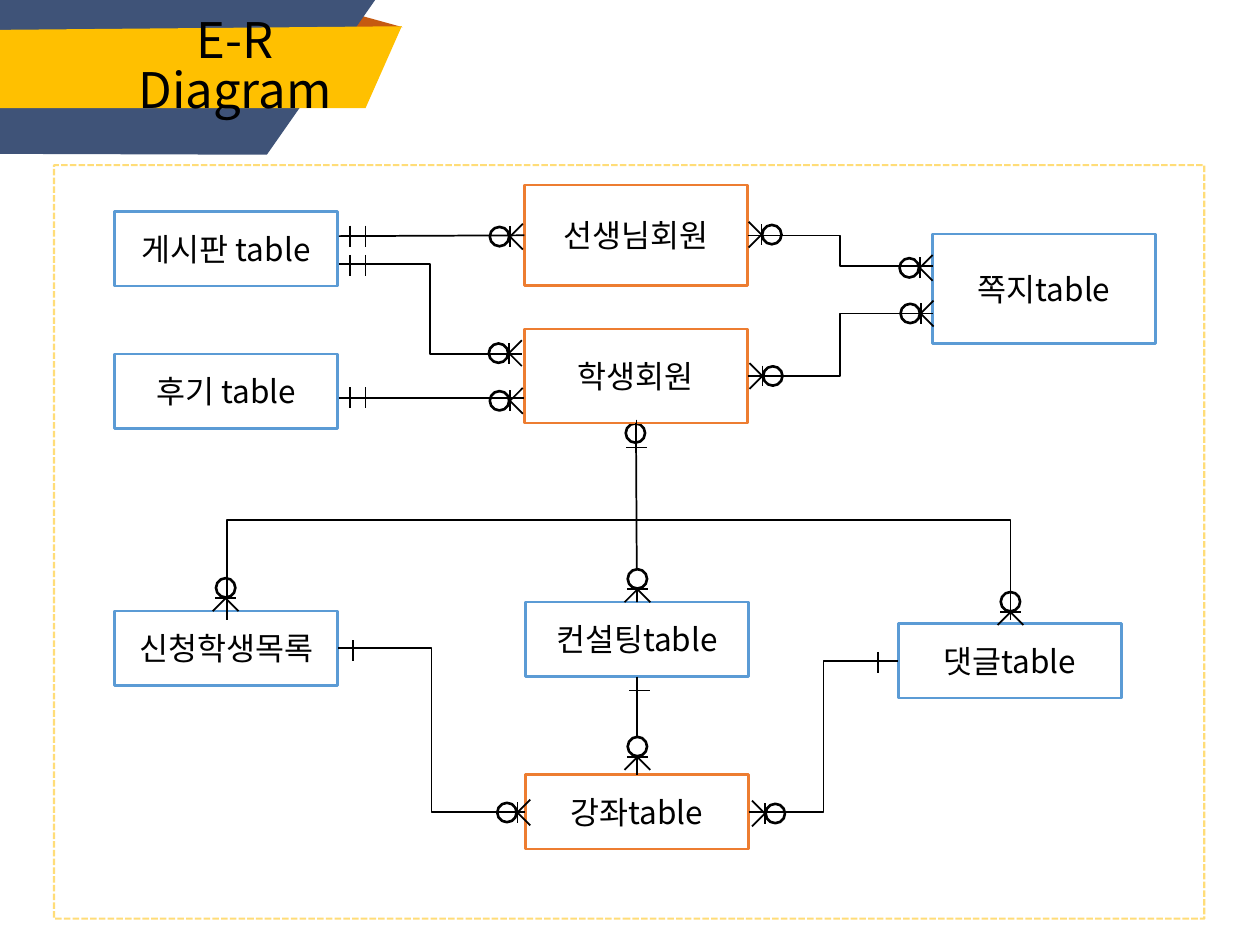
from dataclasses import dataclass

from lxml.etree import SubElement
from pptx import Presentation
from pptx.dml.color import RGBColor
from pptx.enum.dml import MSO_LINE
from pptx.enum.shapes import MSO_CONNECTOR, MSO_SHAPE
from pptx.enum.text import MSO_ANCHOR, MSO_AUTO_SIZE, PP_ALIGN
from pptx.oxml.ns import qn
from pptx.util import Cm, Pt

RECTANGLE, OVAL, RIGHT_TRIANGLE = MSO_SHAPE.RECTANGLE, MSO_SHAPE.OVAL, MSO_SHAPE.RIGHT_TRIANGLE
STRAIGHT, ELBOW = MSO_CONNECTOR.STRAIGHT, MSO_CONNECTOR.ELBOW
MIDDLE, CENTER, NO_AUTOFIT = MSO_ANCHOR.MIDDLE, PP_ALIGN.CENTER, MSO_AUTO_SIZE.NONE
DASHED = MSO_LINE.SQUARE_DOT
TOP, LEFT, BOTTOM, RIGHT = range(4)
WEST, EAST, NORTH = (-1, 0), (1, 0), (0, -1)
TITLE_ONLY = 5


@dataclass(frozen=True)
class Theme:
    font: str = "Noto Sans CJK KR"
    ink: str = "000000"
    paper: str = "FFFFFF"
    navy: str = "3F5378"
    gold: str = "FFC000"
    rust: str = "C55A11"
    member: str = "ED7D31"
    table: str = "5B9BD5"
    title_size: int = 28
    label_size: int = 18
    thin: float = 1
    frame: float = 1.25
    thick: float = 1.5


THEME = Theme()

ENTITIES = {
    "teacher": ("선생님회원", 10.57, 3.73, 2.03, THEME.member),
    "student": ("학생회원", 10.57, 6.63, 1.9, THEME.member),
    "board": ("게시판 table", 2.31, 4.27, 1.5, THEME.table),
    "review": ("후기 table", 2.31, 7.14, 1.5, THEME.table),
    "message": ("쪽지table", 18.8, 4.72, 2.21, THEME.table),
    "course": ("강좌table", 10.59, 15.62, 1.5, THEME.member),
    "applicants": ("신청학생목록", 2.31, 12.32, 1.5, THEME.table),
    "comment": ("댓글table", 18.11, 12.57, 1.5, THEME.table),
    "consulting": ("컨설팅table", 10.59, 12.14, 1.5, THEME.table),
}
ENTITY_WIDTH = 4.5

CROW_FEET = [
    (10.54, 4.77, WEST), (10.52, 7.12, WEST), (10.54, 8.08, WEST),
    (18.8, 5.4, WEST), (18.82, 6.32, WEST), (10.69, 16.38, WEST),
    (15.09, 4.73, EAST), (15.11, 7.58, EAST), (15.16, 16.4, EAST),
    (20.37, 12.6, NORTH), (4.55, 12.32, NORTH),
]
CENTER_CROW_FEET = [(12.85, 12.14, NORTH), (12.85, 15.52, NORTH)]

TICKS = [(x, y, EAST) for y in (4.76, 5.35, 8.02) for x in (7.06, 7.37)] + [
    (7.11, 13.12, EAST), (17.7, 13.35, EAST),
    (12.89, 13.92, NORTH), (12.83, 9.02, NORTH),
]

RELATIONS = [
    (ELBOW, (6.83, 5.33), (10.52, 7.14)),
    (STRAIGHT, (6.83, 4.76), ("teacher", LEFT)),
    (STRAIGHT, (6.83, 8.03), (10.57, 8.03)),
    (ELBOW, ("teacher", RIGHT), (18.8, 5.36)),
    (ELBOW, ("student", RIGHT), (18.8, 6.32)),
    (ELBOW, ("applicants", RIGHT), ("course", LEFT)),
    (ELBOW, ("course", RIGHT), ("comment", LEFT)),
    (STRAIGHT, ("student", BOTTOM), ("consulting", TOP)),
    (STRAIGHT, ("consulting", BOTTOM), ("course", TOP)),
]
BRANCH_START = (12.83, 8.46)
BRANCH_ENDS = [(20.37, 12.5), (4.57, 12.5)]


def color(value):
    return RGBColor.from_string(value)


def style_shape(shape, fill=None, line=None, weight=THEME.thick):
    shape.shadow.inherit = False
    if fill:
        shape.fill.solid()
        shape.fill.fore_color.rgb = color(fill)
    else:
        shape.fill.background()
    if line:
        shape.line.color.rgb = color(line)
        shape.line.width = Pt(weight)
    else:
        shape.line.fill.background()


def write_text(shape, text, size):
    frame = shape.text_frame
    frame.word_wrap = True
    frame.vertical_anchor = MIDDLE
    paragraph = frame.paragraphs[0]
    paragraph.text = text
    paragraph.alignment = CENTER
    font = paragraph.font
    font.size = Pt(size)
    font.color.rgb = color(THEME.ink)
    font.name = THEME.font
    SubElement(font._rPr, qn("a:ea"), typeface=THEME.font)
    return paragraph


def add_box(slide, preset, left, top, width, height, **style):
    shape = slide.shapes.add_shape(preset, Cm(left), Cm(top), Cm(width), Cm(height))
    style_shape(shape, **style)
    return shape


def add_ribbon(slide, points, fill):
    start, *rest = [(Cm(x), Cm(y)) for x, y in points]
    builder = slide.shapes.build_freeform(*start)
    builder.add_line_segments(rest, close=True)
    style_shape(builder.convert_to_shape(), fill=fill)


def add_line(slide, begin, end, kind=STRAIGHT):
    connector = slide.shapes.add_connector(kind, *(Cm(value) for value in (*begin, *end)))
    connector.line.color.rgb = color(THEME.ink)
    connector.line.width = Pt(THEME.thin)
    SubElement(connector._element.spPr, qn("a:effectLst"))
    return connector


def add_relation(slide, boxes, kind, begin, end):
    glued = [point[0] in boxes for point in (begin, end)]
    points = [(0, 0) if joined else point for joined, point in zip(glued, (begin, end))]
    connector = add_line(slide, *points, kind)
    if glued[0]:
        connector.begin_connect(boxes[begin[0]], begin[1])
    if glued[1]:
        connector.end_connect(boxes[end[0]], end[1])


def add_branch(slide, begin, end):
    center_x, center_y = (begin[0] + end[0]) / 2, (begin[1] + end[1]) / 2
    half_x, half_y = (end[0] - begin[0]) / 2, (end[1] - begin[1]) / 2
    connector = add_line(slide, (center_x - half_y, center_y + half_x),
                         (center_x + half_y, center_y - half_x), ELBOW)
    connector._element.spPr.find(qn("a:xfrm")).set("rot", str(90 * 60000))


def add_tick(slide, x, y, direction):
    across_x, across_y = -direction[1] * 0.21, direction[0] * 0.21
    add_line(slide, (x - across_x, y - across_y), (x + across_x, y + across_y))


def add_ring(slide, x, y, diameter=0.39):
    add_box(slide, OVAL, x - diameter / 2, y - diameter / 2, diameter, diameter,
            fill=THEME.paper, line=THEME.ink)


def add_crow_foot(slide, x, y, direction, reach=0.26):
    along_x, along_y = direction
    joint = (x + along_x * reach, y + along_y * reach)
    add_ring(slide, x + along_x * 0.47, y + along_y * 0.47)
    for side in (-reach, reach):
        add_line(slide, joint, (x - along_y * side, y + along_x * side))
    add_tick(slide, *joint, direction)


def add_header(slide):
    add_box(slide, RIGHT_TRIANGLE, 5.91, -0.06, 2.21, 0.61, fill=THEME.rust)
    add_ribbon(slide, [(7.62, -0.08), (5.38, 3.12), (-0.81, 3.1), (-1.04, -0.05)], THEME.navy)
    add_ribbon(slide, [(8.1, 0.53), (7.37, 2.18), (-1.04, 2.18), (-0.81, 0.61)], THEME.gold)
    title = slide.shapes.title
    title.left, title.top, title.width, title.height = Cm(1.83), Cm(0.64), Cm(5.82), Cm(1.5)
    paragraph = write_text(title, "E-R Diagram", THEME.title_size)
    paragraph.line_spacing = 0.85
    frame = title.text_frame
    frame.auto_size = NO_AUTOFIT
    frame.margin_left = frame.margin_right = frame.margin_top = frame.margin_bottom = Cm(0.25)
    slide.shapes._spTree.append(title._element)


def add_frame(slide):
    frame = add_box(slide, RECTANGLE, 1.09, 3.33, 23.19, 15.19,
                    line=THEME.gold, weight=THEME.frame)
    frame.line.dash_style = DASHED
    tint = frame.line._ln.find(".//" + qn("a:srgbClr"))
    SubElement(tint, qn("a:alpha"), val="53000")


def add_entity(slide, label, left, top, height, line):
    box = add_box(slide, RECTANGLE, left, top, ENTITY_WIDTH, height,
                  fill=THEME.paper, line=line)
    write_text(box, label, THEME.label_size)
    return box


def main():
    presentation = Presentation()
    presentation.slide_width, presentation.slide_height = Cm(25.4), Cm(19.05)
    slide = presentation.slides.add_slide(presentation.slide_layouts[TITLE_ONLY])
    add_header(slide)
    add_frame(slide)
    add_ring(slide, 12.81, 8.73)
    boxes = {name: add_entity(slide, *entity) for name, entity in ENTITIES.items()}
    for foot in CROW_FEET:
        add_crow_foot(slide, *foot)
    for tick in TICKS:
        add_tick(slide, *tick)
    for relation in RELATIONS:
        add_relation(slide, boxes, *relation)
    for end in BRANCH_ENDS:
        add_branch(slide, BRANCH_START, end)
    for foot in CENTER_CROW_FEET:
        add_crow_foot(slide, *foot)
    presentation.save("out.pptx")


if __name__ == "__main__":
    main()
